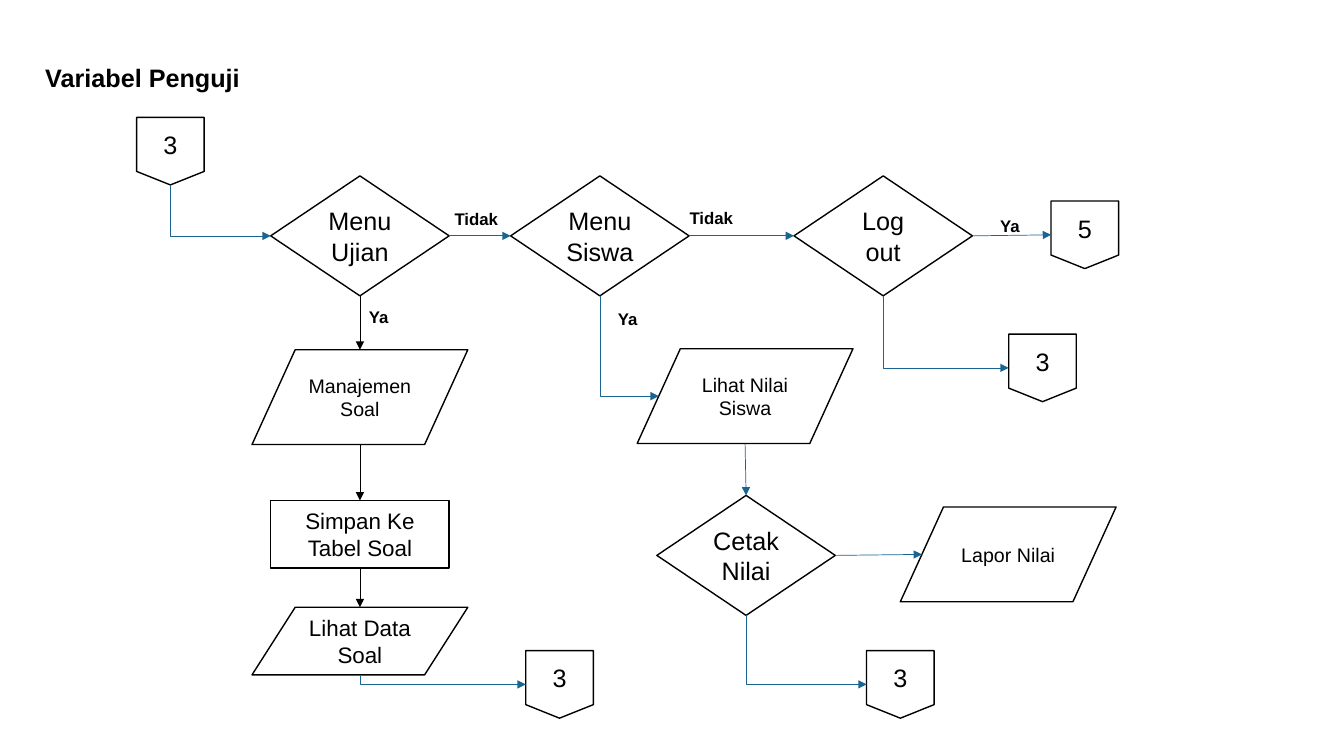
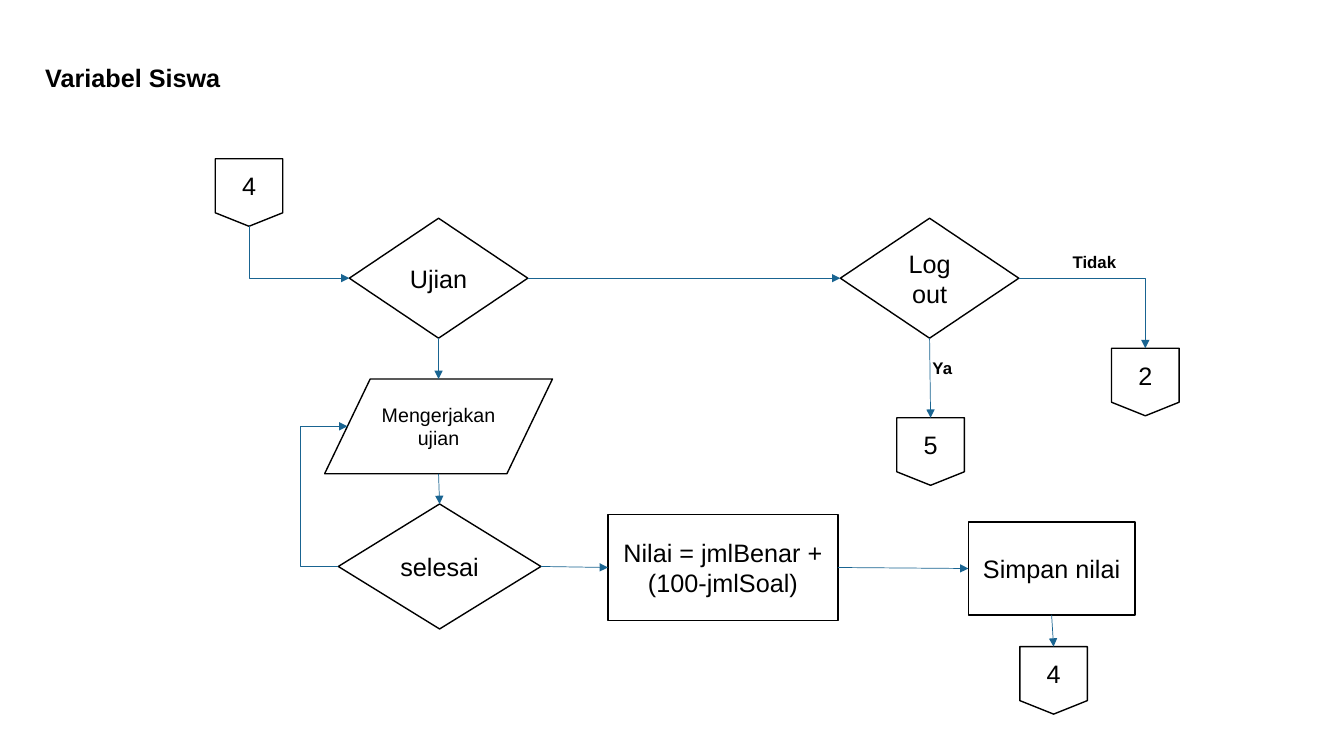
from dataclasses import dataclass

from lxml import etree
from pptx import Presentation
from pptx.dml.color import RGBColor
from pptx.enum.shapes import MSO_CONNECTOR, MSO_SHAPE
from pptx.enum.text import MSO_ANCHOR, MSO_AUTO_SIZE, PP_ALIGN
from pptx.oxml.ns import qn
from pptx.util import Inches, Pt

TEST = MSO_SHAPE.FLOWCHART_DECISION
DATA = MSO_SHAPE.FLOWCHART_DATA
STEP = MSO_SHAPE.FLOWCHART_PROCESS
PAGE = MSO_SHAPE.FLOWCHART_OFFPAGE_CONNECTOR
STRAIGHT, ELBOW = MSO_CONNECTOR.STRAIGHT, MSO_CONNECTOR.ELBOW
MIDDLE, CENTER, LEFT = MSO_ANCHOR.MIDDLE, PP_ALIGN.CENTER, PP_ALIGN.LEFT
GROW = MSO_AUTO_SIZE.SHAPE_TO_FIT_TEXT
TOP, WEST, BASE, EAST = range(4)


@dataclass(frozen=True)
class Theme:
    font: str = "Arial"
    ink: RGBColor = RGBColor(0, 0, 0)
    blue: RGBColor = RGBColor(0x19, 0x64, 0x91)
    large: int = 18
    mid: int = 16
    small: int = 14
    tag: int = 12
    edge: float = 1
    wire: float = 0.5


THEME = Theme()
SIZES = {TEST: (1.77, 1.19), DATA: (2.14, 0.94),
         STEP: (1.77, 0.67), PAGE: (0.67, 0.67)}
TITLE = (0.35, 0.37, 12.66, 0.79)
AREA = (1, 1)  # left and top of the flow chart


@dataclass
class Node:
    shape: object
    kind: int
    x: float
    y: float
    w: float
    h: float

    def port(self, side):
        """Point where a line meets the given side; data boxes slant inward."""
        half = self.w * (0.4 if self.kind == DATA else 0.5)
        dx, dy = {TOP: (0, -self.h / 2), WEST: (-half, 0),
                  BASE: (0, self.h / 2), EAST: (half, 0)}[side]
        return self.x + dx, self.y + dy


def write(frame, text, size, bold=False, align=LEFT):
    frame.text = text
    para = frame.paragraphs[0]
    para.alignment = align
    font = para.font
    font.name, font.size, font.bold = THEME.font, Pt(size), bold
    font.color.rgb = THEME.ink


def head(slide, text, box):
    frame = slide.shapes.add_textbox(*map(Inches, box)).text_frame
    frame.word_wrap = True
    frame.vertical_anchor = MIDDLE
    write(frame, text, THEME.large, bold=True)


class Flow:
    """Flow chart whose parts are placed relative to the area's corner."""

    def __init__(self, slide, area):
        self.shapes = slide.shapes
        self.left, self.top = area

    def node(self, kind, text, x, y, size=THEME.large, dims=None):
        """Add a box centred on x, y."""
        w, h = dims or SIZES[kind]
        x, y = self.left + x, self.top + y
        shape = self.shapes.add_shape(
            kind, *map(Inches, (x - w / 2, y - h / 2, w, h)))
        shape.shadow.inherit = False
        shape.fill.background()
        shape.line.color.rgb = THEME.ink
        shape.line.width = Pt(THEME.edge)
        shape.text_frame.word_wrap = True
        shape.text_frame.vertical_anchor = MIDDLE
        write(shape.text_frame, text, size, align=CENTER)
        return Node(shape, kind, x, y, w, h)

    def label(self, text, x, y):
        w = 0.45 if text == "Ya" else 0.65
        box = (self.left + x, self.top + y, w, 0.3)
        frame = self.shapes.add_textbox(*map(Inches, box)).text_frame
        frame.word_wrap = False
        frame.auto_size = GROW
        write(frame, text, THEME.tag, bold=True)

    def wire(self, kind, start, end, color):
        line = self.shapes.add_connector(kind, *map(Inches, start + end))
        line.line.color.rgb = color
        line.line.width = Pt(THEME.wire)
        props = line._element.spPr
        etree.SubElement(props.find(qn("a:ln")), qn("a:tailEnd"), type="triangle")
        etree.SubElement(props, qn("a:effectLst"))
        return line

    def link(self, a, out, b, into, color=THEME.blue):
        """Straight arrow, joined to every box but the slanted ones."""
        line = self.wire(STRAIGHT, a.port(out), b.port(into), color)
        if a.kind != DATA:
            line.begin_connect(a.shape, out)
        if b.kind != DATA:
            line.end_connect(b.shape, into)

    def bend(self, a, out, b, into):
        """Arrow with one corner: down then right, or right then down."""
        start, end = a.port(out), b.port(into)
        line = self.wire(ELBOW, start, end, THEME.blue)
        props = line._element.spPr
        props.find(qn("a:prstGeom")).set("prst", "bentConnector2")
        if out == BASE:
            w, h = end[0] - start[0], end[1] - start[1]
            line.left = Inches(start[0] + (w - h) / 2)
            line.top = Inches(start[1] + (h - w) / 2)
            line.width, line.height = Inches(h), Inches(w)
            line.rotation = 270
            props.find(qn("a:xfrm")).set("flipH", "1")

    def loop(self, a, b, reach):
        """Arrow back from west side to west side, reaching out to the left."""
        start, end = a.port(WEST), b.port(WEST)
        line = self.wire(ELBOW, start, end, THEME.blue)
        geom = line._element.spPr.find(qn("a:prstGeom"))
        turn = round(-reach / (end[0] - start[0]) * 100000)
        etree.SubElement(geom.find(qn("a:avLst")), qn("a:gd"),
                         name="adj1", fmla=f"val {turn}")


def tester(slide, area):
    flow = Flow(slide, area)
    col, row, foot = 2.57, 1.34, 5.79
    start = flow.node(PAGE, "3", 0.69, 0.5)
    exam = flow.node(TEST, "Menu Ujian", col, row)
    pupil = flow.node(TEST, "Menu Siswa", 4.95, row)
    leave = flow.node(TEST, "Log out", 7.76, row)
    five = flow.node(PAGE, "5", 9.76, 1.33)
    manage = flow.node(DATA, "Manajemen Soal", col, 2.94, THEME.small)
    save = flow.node(STEP, "Simpan Ke Tabel Soal", col, 4.3, THEME.mid)
    view = flow.node(DATA, "Lihat Data Soal", col, 5.36, THEME.mid, (2.14, 0.67))
    score = flow.node(DATA, "Lihat Nilai Siswa", 6.39, 2.93, THEME.small)
    issue = flow.node(TEST, "Cetak Nilai", 6.4, 4.51)
    report = flow.node(DATA, "Lapor Nilai", 9, 4.5, THEME.small)

    chain = (exam, manage, save, view)
    for a, b in zip(chain, chain[1:]):
        flow.link(a, BASE, b, TOP, THEME.ink)
    for a, b in ((exam, pupil), (pupil, leave), (leave, five), (issue, report)):
        flow.link(a, EAST, b, WEST)
    flow.link(score, BASE, issue, TOP)
    flow.bend(start, BASE, exam, WEST)
    flow.bend(pupil, BASE, score, WEST)
    for a, x, y in ((view, 4.55, foot), (issue, 7.93, foot), (leave, 9.34, 2.65)):
        flow.bend(a, BASE, flow.node(PAGE, "3", x, y), WEST)

    for text, x, y in (("Ya", 2.56, 1.99), ("Tidak", 3.41, 1.02),
                       ("Ya", 8.82, 1.09), ("Ya", 5.03, 2.01),
                       ("Tidak", 5.74, 1.01)):
        flow.label(text, x, y)


def student(slide, area):
    flow = Flow(slide, area)
    col, row = 3.35, 1.76
    start = flow.node(PAGE, "4", 1.47, 0.91)
    exam = flow.node(TEST, "Ujian", col, row)
    leave = flow.node(TEST, "Log out", 8.22, row)
    five = flow.node(PAGE, "5", 8.23, 3.48)
    two = flow.node(PAGE, "2", 10.36, 2.79)
    work = flow.node(DATA, "Mengerjakan ujian", col, 3.23, THEME.small, (2.26, 0.94))
    done = flow.node(TEST, "selesai", 3.36, 4.62, dims=(2.01, 1.24))
    score = flow.node(STEP, "Nilai = jmlBenar + (100-jmlSoal)", 6.17, 4.63,
                      dims=(2.28, 1.05))
    save = flow.node(STEP, "Simpan nilai", 9.43, 4.64, dims=(1.65, 0.92))
    four = flow.node(PAGE, "4", 9.45, 5.75)

    for a, b in ((exam, work), (work, done), (leave, five), (save, four)):
        flow.link(a, BASE, b, TOP)
    for a, b in ((exam, leave), (done, score), (score, save)):
        flow.link(a, EAST, b, WEST)
    flow.bend(start, BASE, exam, WEST)
    flow.bend(leave, EAST, two, TOP)
    flow.loop(done, work, 0.38)

    flow.label("Tidak", 9.54, 1.45)
    flow.label("Ya", 8.15, 2.5)


def main():
    deck = Presentation()
    deck.slide_width, deck.slide_height = Inches(13.33), Inches(7.5)
    for title, draw in (("Variabel Penguji", tester), ("Variabel Siswa", student)):
        slide = deck.slides.add_slide(deck.slide_layouts[6])
        head(slide, title, TITLE)
        draw(slide, AREA)
    deck.save("out.pptx")


if __name__ == "__main__":
    main()
